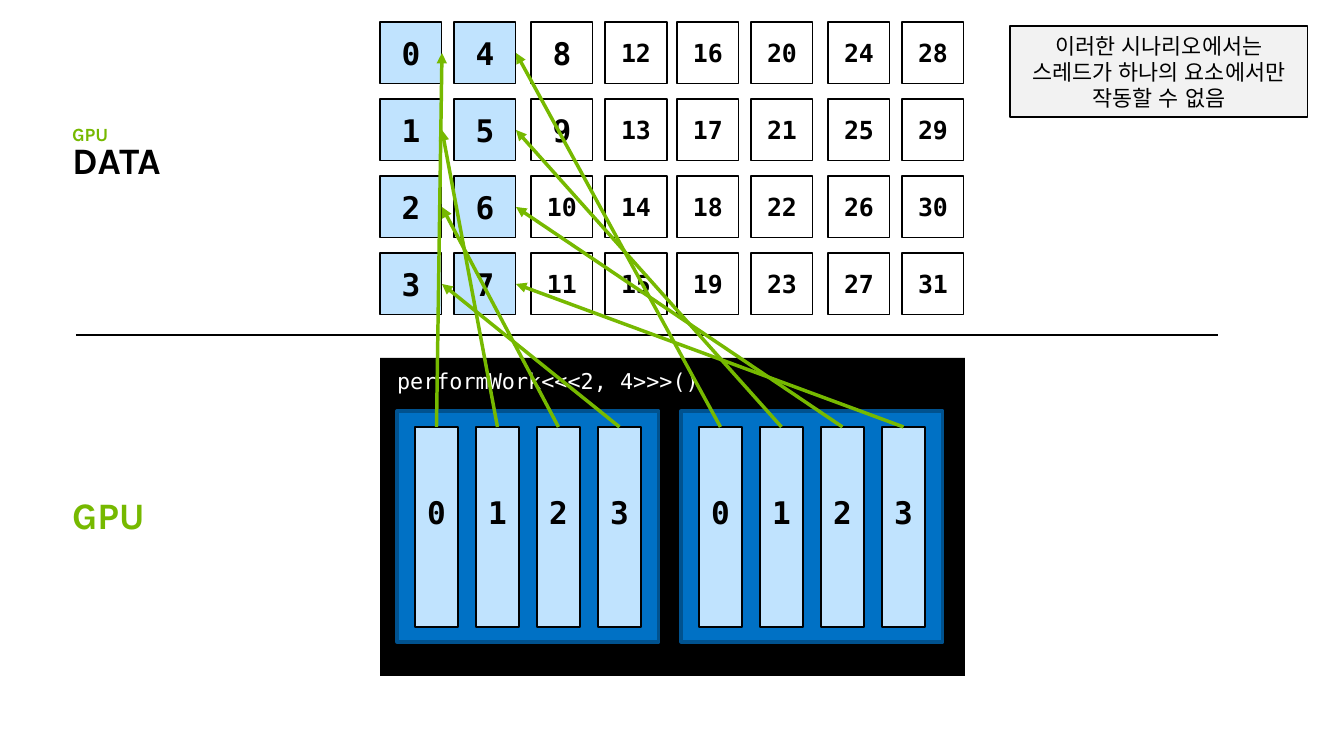
"""Build the slide that maps two blocks of GPU threads onto data elements."""
from lxml.etree import SubElement
from pptx import Presentation
from pptx.dml.color import RGBColor
from pptx.enum.lang import MSO_LANGUAGE_ID
from pptx.enum.shapes import MSO_CONNECTOR, MSO_SHAPE
from pptx.enum.text import MSO_ANCHOR, PP_ALIGN
from pptx.oxml.ns import qn
from pptx.util import Emu, Pt

COLORS = {
    "black": "000000",
    "white": "FFFFFF",
    "green": "76B900",
    "block": "0071C5",
    "block_edge": "00528F",
    "active": "C0E3FE",
    "note": "F2F2F2",
}
MONO = "DejaVu Sans Mono"
ROWS, THREADS = 4, 4
PAIR_LEFTS = (380, 531, 677, 828)
CELL_TOP, CELL_SIZE, COLUMN_STEP, ROW_STEP = 22, 62, 74, 77
BLOCK_LEFTS = (397, 681)
BAR_STEP = 61


def px(value):
    return Emu(round(value * 914400 / 112))


def color(name):
    return RGBColor.from_string(COLORS[name])


def add_box(slide, left, top, width, height, fill, line=None, line_width=0.75):
    shape = slide.shapes.add_shape(
        MSO_SHAPE.RECTANGLE, px(left), px(top), px(width), px(height))
    shape.shadow.inherit = False
    shape.fill.solid()
    shape.fill.fore_color.rgb = color(fill)
    if line:
        shape.line.color.rgb = color(line)
        shape.line.width = Pt(line_width)
    else:
        shape.line.fill.background()
    return shape


def set_text(shape, text, size, font, ink="black", bold=False,
             align=PP_ALIGN.CENTER, anchor=MSO_ANCHOR.MIDDLE):
    frame = shape.text_frame
    frame.text = text
    frame.word_wrap = True
    frame.vertical_anchor = anchor
    paragraph = frame.paragraphs[0]
    paragraph.alignment = align
    run_font = paragraph.runs[0].font
    run_font.name = font
    run_font.size = Pt(size)
    run_font.bold = bold
    run_font.color.rgb = color(ink)
    return paragraph


def add_label(slide, text, top, height, size, ink):
    box = slide.shapes.add_textbox(px(61), px(top), px(123), px(height))
    paragraph = set_text(box, text, size, "Karla", ink, True,
                         PP_ALIGN.LEFT, MSO_ANCHOR.BOTTOM)
    paragraph.line_spacing = 0.9


def add_number(shape, number, bottom_inset=0):
    frame = shape.text_frame
    frame.margin_left = frame.margin_right = frame.margin_top = 0
    frame.margin_bottom = px(bottom_inset)
    set_text(shape, str(number), 20 if number < 10 else 16, MONO, bold=True)


def add_cells(slide):
    lefts = [left + step for left in PAIR_LEFTS for step in (0, COLUMN_STEP)]
    cells = []
    for number in range(len(lefts) * ROWS):
        column, row = divmod(number, ROWS)
        fill = "active" if column < len(BLOCK_LEFTS) else "white"
        cell = add_box(slide, lefts[column], CELL_TOP + row * ROW_STEP,
                       CELL_SIZE, CELL_SIZE, fill, "black")
        add_number(cell, number)
        cells.append(cell)
    return cells


def add_block(slide, left):
    add_box(slide, left, 411, 262, 231, "block", "block_edge", 2)
    bars = []
    for thread in range(THREADS):
        bar = add_box(slide, left + 18 + thread * BAR_STEP, 427, 43, 200,
                      "active", "black")
        add_number(bar, thread, bottom_inset=30)
        bars.append(bar)
    return bars


def add_line(slide, ink, width, start=(0, 0), end=(0, 0)):
    line = slide.shapes.add_connector(
        MSO_CONNECTOR.STRAIGHT, *(px(value) for value in (*start, *end)))
    line.line.color.rgb = color(ink)
    line.line.width = Pt(width)
    SubElement(line._element.spPr, qn("a:effectLst"))
    return line


def add_arrow(slide, bar, cell):
    arrow = add_line(slide, "green", 2.25)
    arrow.begin_connect(bar, 0)
    arrow.end_connect(cell, 3)
    SubElement(arrow.line._get_or_add_ln(), qn("a:tailEnd"), type="triangle")


def main():
    presentation = Presentation()
    presentation.slide_width = px(1344)
    presentation.slide_height = px(756)
    slide = presentation.slides.add_slide(presentation.slide_layouts[6])

    add_box(slide, 380, 358, 585, 318, "black")
    kernel = slide.shapes.add_textbox(px(386), px(367), px(343), px(28))
    set_text(kernel, "performWork<<<2, 4>>>()", 14, MONO, "white",
             align=PP_ALIGN.LEFT)
    bars = [bar for left in BLOCK_LEFTS for bar in add_block(slide, left)]
    cells = add_cells(slide)

    add_line(slide, "black", 1.5, (76, 335), (1218, 335))
    add_label(slide, "GPU", 492, 51, 24, "green")
    add_label(slide, "DATA", 137, 51, 24, "black")
    add_label(slide, "GPU", 120, 31, 12, "green")

    for bar, cell in zip(bars, cells):
        add_arrow(slide, bar, cell)

    note = add_box(slide, 1010, 26, 298, 91, "note", "black")
    paragraph = set_text(
        note, "이러한 시나리오에서는 스레드가 하나의 요소에서만 작동할 수 없음", 14, "Arial")
    paragraph.runs[0].font.language_id = MSO_LANGUAGE_ID.KOREAN

    presentation.save("out.pptx")


if __name__ == "__main__":
    main()
